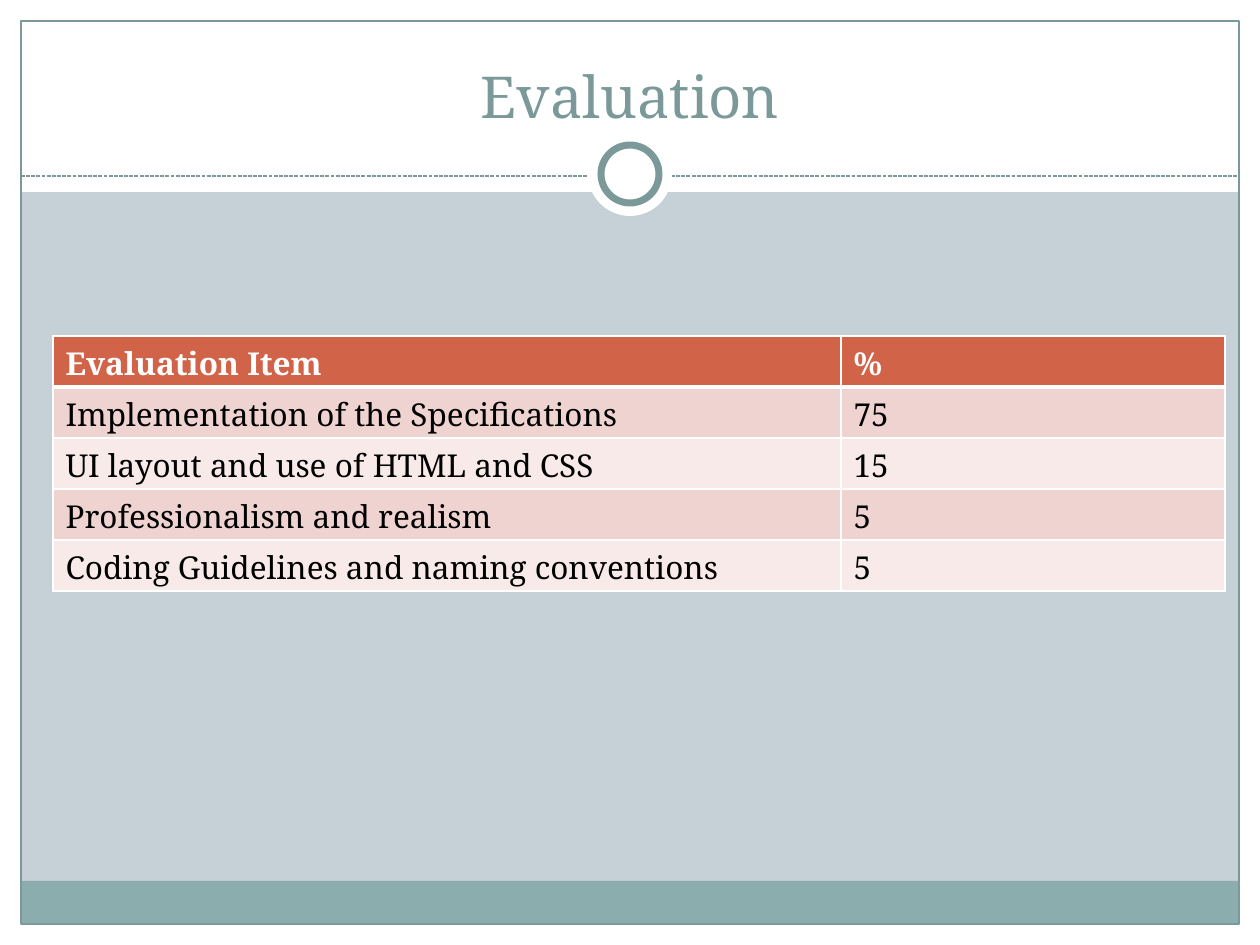
import pptx
import pptx.util
import pptx.dml.color
import pptx.enum.dml
import pptx.enum.shapes
import pptx.enum.text
import pptx.oxml.ns
import lxml.etree

SCALE = 914400 // 126
FONT = "Noto Serif"
WHITE, TEAL, FOOTER_TEAL, BACKDROP = "FFFFFF", "7C999A", "8CADAE", "C5D1D7"
HEADER_RED, BLACK = "D16349", "000000"
BANDS = ("EED3D0", "F7EAE9")
EVALUATION = [
    ("Evaluation Item", "%"),
    ("Implementation of the Specifications", "75"),
    ("UI layout and use of HTML and CSS", "15"),
    ("Professionalism and realism", "5"),
    ("Coding Guidelines and naming conventions", "5"),
]
SHAPES = pptx.enum.shapes.MSO_SHAPE


def px(*lengths):
    """Turn pixel lengths into a list of EMU."""
    return [pptx.util.Emu(round(length * SCALE)) for length in lengths]


def rgb(value):
    """Turn a hex string into a colour."""
    return pptx.dml.color.RGBColor.from_string(value)


def add_part(slide, preset, box, fill=None, line=None, width=0.75):
    """Add a preset shape with an optional fill and outline."""
    part = slide.shapes.add_shape(preset, *px(*box))
    part.shadow.inherit = False
    if fill:
        part.fill.solid()
        part.fill.fore_color.rgb = rgb(fill)
    else:
        part.fill.background()
    if line:
        part.line.color.rgb = rgb(line)
        part.line.width = pptx.util.Pt(width)
    else:
        part.line.fill.background()


def style_text(paragraph, size, color, bold=False):
    """Set the font of every run in a paragraph."""
    for run in paragraph.runs:
        run.font.name = FONT
        run.font.size = pptx.util.Pt(size)
        run.font.bold = bold
        run.font.color.rgb = rgb(color)


def add_frame(slide, box, margin=21, header=192, footer=43):
    """Draw the white margins, header and footer bands and the outline."""
    left, top, width, height = box
    right, bottom = left + width, top + height
    inner_width = width - 2 * margin
    for band in (
        (left, bottom - margin, width, margin),
        (left, top, width, header),
        (left, top, margin, height),
        (right - margin, top, margin, height),
    ):
        add_part(slide, SHAPES.RECTANGLE, band, WHITE)
    footer_top = bottom - margin - footer
    add_part(slide, SHAPES.RECTANGLE,
             (left + margin, footer_top, inner_width, footer), FOOTER_TEAL)
    add_part(slide, SHAPES.RECTANGLE,
             (left + margin, top + margin, inner_width, height - 2 * margin), line=TEAL)


def add_divider(slide, box):
    """Draw a dashed rule across the box with a ring at its centre."""
    left, top, width, height = box
    rule_y = top + 44
    rule = slide.shapes.add_connector(
        pptx.enum.shapes.MSO_CONNECTOR.STRAIGHT, *px(left, rule_y, left + width, rule_y))
    rule.line.color.rgb = rgb(TEAL)
    rule.line.width = pptx.util.Pt(0.75)
    rule.line.dash_style = pptx.enum.dml.MSO_LINE.SQUARE_DOT
    lxml.etree.SubElement(rule._element.spPr, pptx.oxml.ns.qn("a:effectLst"))
    center_x, center_y = left + width / 2, top + height / 2
    for diameter, line in ((height, None), (58, TEAL)):
        circle = (center_x - diameter / 2, center_y - diameter / 2, diameter, diameter)
        add_part(slide, SHAPES.OVAL, circle, WHITE, line, 4)


def add_title(slide, box, wording):
    """Place the centred title at the bottom of its box."""
    title = slide.shapes.add_textbox(*px(*box)).text_frame
    title.word_wrap = True
    title.vertical_anchor = pptx.enum.text.MSO_ANCHOR.BOTTOM
    title.text = wording
    title.paragraphs[0].alignment = pptx.enum.text.PP_ALIGN.CENTER
    style_text(title.paragraphs[0], 33, TEAL)


def set_borders(cell, **widths):
    """Give a cell white borders, keyed by side letter, in points."""
    properties = cell._tc.get_or_add_tcPr()
    for position, side in enumerate("LRTB"):
        border = lxml.etree.Element(
            pptx.oxml.ns.qn("a:ln" + side), w=str(pptx.util.Pt(widths.get(side, 1))))
        fill = lxml.etree.SubElement(border, pptx.oxml.ns.qn("a:solidFill"))
        lxml.etree.SubElement(fill, pptx.oxml.ns.qn("a:srgbClr"), val=WHITE)
        properties.insert(position, border)


def add_evaluation_table(slide, box, rows, first_width):
    """Place the grading table with a red header and banded rows."""
    table = slide.shapes.add_table(len(rows), len(rows[0]), *px(*box)).table
    for column, width in zip(table.columns, px(first_width, box[2] - first_width)):
        column.width = width
    for row_index, row in enumerate(rows):
        header = row_index == 0
        table.rows[row_index].height = px(box[3] / len(rows))[0]
        for column_index, wording in enumerate(row):
            cell = table.cell(row_index, column_index)
            cell.text = wording
            style_text(cell.text_frame.paragraphs[0], 18, WHITE if header else BLACK, header)
            cell.fill.solid()
            cell.fill.fore_color.rgb = rgb(HEADER_RED if header else BANDS[(row_index - 1) % 2])
            set_borders(cell, B=3 if header else 1, T=3 if row_index == 1 else 1)


def build():
    """Build the evaluation slide and save it."""
    deck = pptx.Presentation()
    deck.slide_width, deck.slide_height = px(1260, 945)
    slide = deck.slides.add_slide(deck.slide_layouts[6])
    slide.background.fill.solid()
    slide.background.fill.fore_color.rgb = rgb(BACKDROP)
    add_frame(slide, (0, 0, 1260, 945))
    add_divider(slide, (21, 132, 1218, 84))
    add_title(slide, (42, 32, 1176, 104), "Evaluation")
    add_evaluation_table(slide, (53, 336, 1172, 255), EVALUATION, 788)
    deck.save("out.pptx")


build()
